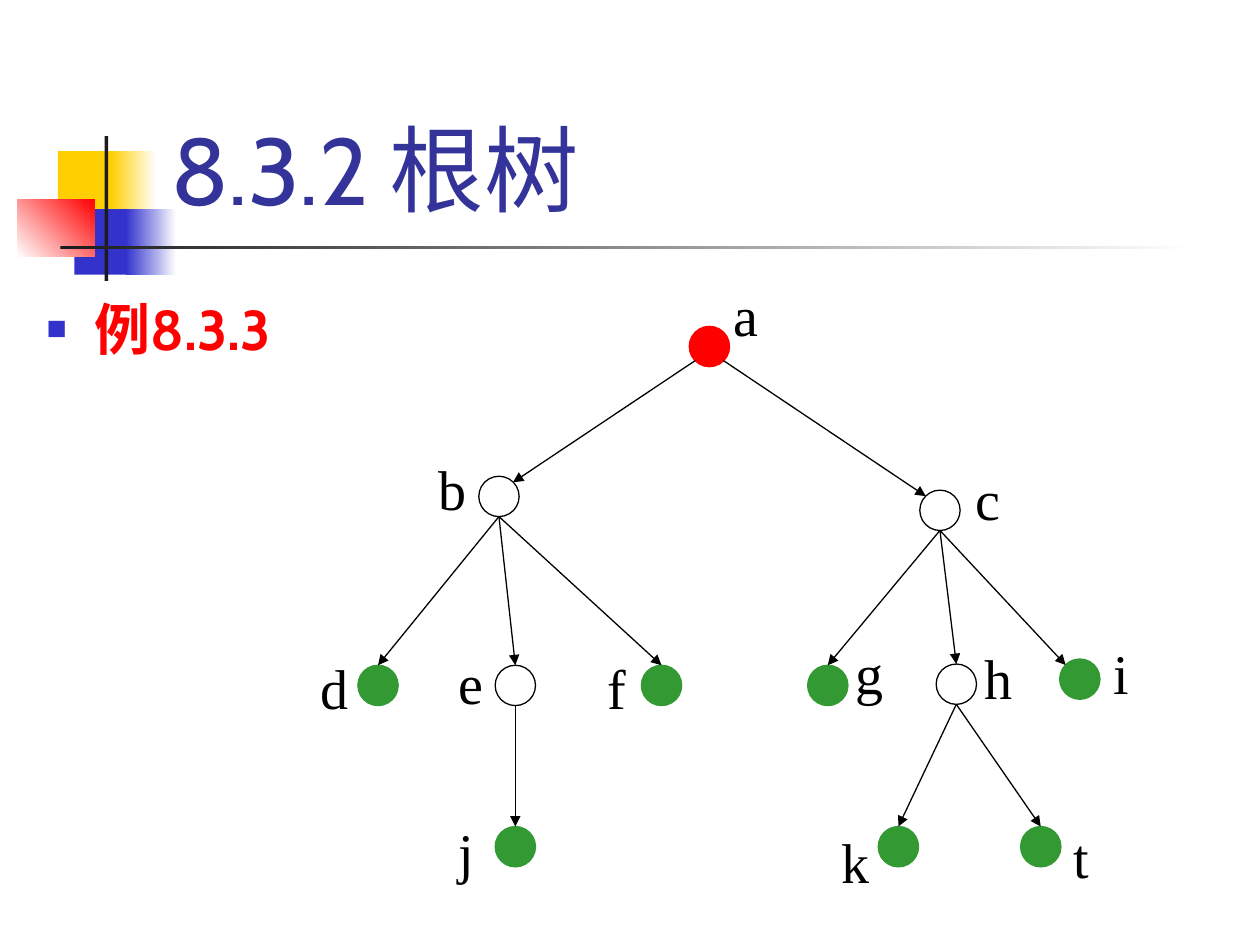
"""Build a slide showing a rooted tree with labelled vertices."""
from lxml import etree
from pptx import Presentation
from pptx import util as u
from pptx.dml.color import RGBColor
from pptx.enum import shapes, text
from pptx.oxml.ns import qn

WHITE = RGBColor(0xFF, 0xFF, 0xFF)
BLACK = RGBColor(0x00, 0x00, 0x00)
RED = RGBColor(0xFF, 0x00, 0x00)
GREEN = RGBColor(0x33, 0x99, 0x33)
YELLOW = RGBColor(0xFF, 0xCF, 0x01)
BLUE = RGBColor(0x33, 0x33, 0xCC)
NAVY = RGBColor(0x33, 0x33, 0x99)
CHARCOAL = RGBColor(0x1C, 0x1C, 0x1C)

TITLE = ("8.3.2 根树", (1.26, 0.23, 8.52, 1.6))
BODY = ("例8.3.3", (0.27, 2.02, 9.73, 5.48))
TITLE_FONT = {"name": "Cabin", "size": u.Pt(54), "bold": False}
BODY_FONT = {"name": "Cabin", "size": u.Pt(32), "bold": True}
LABEL_FONT = {"name": "Times New Roman", "size": u.Pt(32)}
BODY_SPACING = {"line_spacing": 1.5, "space_before": u.Pt(0)}
LABEL_FRAME = {
    "margin_left": u.Inches(0.11), "margin_right": u.Inches(0.11),
    "margin_top": u.Inches(0.06), "margin_bottom": u.Inches(0.06),
    "vertical_anchor": text.MSO_ANCHOR.TOP, "word_wrap": True,
}

ORNAMENTS = [
    ((0.46, 1.2, 0.48, 0.52), (YELLOW,), 0),
    ((0.88, 1.2, 0.36, 0.52), (YELLOW, WHITE), 0),
    ((0.59, 1.66, 0.46, 0.52), (BLUE,), 0),
    ((1.0, 1.66, 0.4, 0.52), (BLUE, WHITE), 0),
    ((0.14, 1.58, 0.61, 0.46), (WHITE, RED), 45),
    ((0.83, 1.08, 0.03, 1.15), (CHARCOAL,), 0),
    ((0.48, 1.95, 9, 0.03), (CHARCOAL, WHITE), 0),
]

DIAMETER = 0.32
LABEL_SIZE = (0.92, 0.9)
VERTICES = {
    "j": ((4.09, 6.72), (3.53, 6.43), GREEN),
    "k": ((7.13, 6.72), (6.57, 6.51), GREEN),
    "t": ((8.26, 6.72), (8.41, 6.47), GREEN),
    "d": ((3.0, 5.44), (2.43, 5.13), GREEN),
    "e": ((4.09, 5.44), (3.53, 5.09), WHITE),
    "f": ((5.25, 5.44), (4.71, 5.13), GREEN),
    "g": ((6.57, 5.44), (6.68, 5.01), GREEN),
    "h": ((7.59, 5.43), (7.7, 5.05), WHITE),
    "i": ((8.57, 5.39), (8.73, 5.01), GREEN),
    "b": ((3.96, 3.94), (3.37, 3.55), WHITE),
    "c": ((7.46, 4.05), (7.63, 3.63), WHITE),
    "a": ((5.63, 2.75), (5.71, 2.17), RED),
}

SITES = {
    "top": (0, -1), "bottom": (0, 1),
    "top left": (-0.7, -0.7), "top right": (0.7, -0.7),
    "bottom left": (-0.7, 0.7), "bottom right": (0.7, 0.7),
}
EDGES = [
    ("ab", "bottom left", "top right"),
    ("ac", "bottom right", "top left"),
    ("bd", "bottom", "top"),
    ("be", "bottom", "top"),
    ("bf", "bottom", "top"),
    ("cg", "bottom", "top"),
    ("ch", "bottom", "top"),
    ("ci", "bottom", "top left"),
    ("ej", "bottom", "top"),
    ("hk", "bottom", "top"),
    ("ht", "bottom", "top"),
]


def apply(target, values):
    for name, value in values.items():
        setattr(target, name, value)


def place(shape, area):
    names = ("left", "top", "width", "height")
    apply(shape, dict(zip(names, map(u.Inches, area))))


def write(shape, words, font, color, align=text.PP_ALIGN.LEFT):
    para = shape.text_frame.paragraphs[0]
    para.alignment = align
    span = para.add_run()
    span.text = words
    apply(span.font, font)
    span.font.color.rgb = color
    return para


def add_shape(page, kind, area, colors, outline=None, angle=0):
    shape = page.shapes.add_shape(kind, *map(u.Inches, area))
    shape.shadow.inherit = False
    if len(colors) == 1:
        shape.fill.solid()
        shape.fill.fore_color.rgb = colors[0]
    else:
        shape.fill.gradient()
        shape.fill.gradient_angle = angle
        for stop, color, position in zip(shape.fill.gradient_stops, colors, (0, 1)):
            stop.color.rgb = color
            stop.position = position
    if outline is None:
        shape.line.fill.background()
    else:
        shape.line.color.rgb = outline
        shape.line.width = u.Pt(0.75)
    return shape


def add_bullet(para):
    props = para._p.get_or_add_pPr()
    props.set("marL", str(u.Inches(0.38)))
    props.set("indent", str(u.Inches(-0.38)))
    color = etree.SubElement(props, qn("a:buClr"))
    etree.SubElement(color, qn("a:srgbClr"), val=str(BLUE))
    etree.SubElement(props, qn("a:buSzPct"), val="60000")
    etree.SubElement(props, qn("a:buChar"), char="■")


def site_point(vertex, site):
    center = VERTICES[vertex][0]
    return [u.Inches(c + s * DIAMETER / 2) for c, s in zip(center, SITES[site])]


def add_edge(page, nodes, pair, start, end):
    parent, child = pair
    edge = page.shapes.add_connector(
        shapes.MSO_CONNECTOR.STRAIGHT, *site_point(parent, start), *site_point(child, end))
    if end == "top":
        edge.end_connect(nodes[child], 0)
    edge.line.color.rgb = BLACK
    edge.line.width = u.Pt(0.75)
    etree.SubElement(edge.line._get_or_add_ln(), qn("a:tailEnd"), type="triangle")
    etree.SubElement(edge._element.spPr, qn("a:effectLst"))


def main():
    deck = Presentation()
    deck.slide_width, deck.slide_height = u.Inches(10), u.Inches(7.5)
    page = deck.slides.add_slide(deck.slide_layouts[1])
    rectangle, oval = shapes.MSO_SHAPE.RECTANGLE, shapes.MSO_SHAPE.OVAL

    for area, colors, angle in ORNAMENTS:
        add_shape(page, rectangle, area, colors, angle=angle)

    title, body = page.shapes.title, page.placeholders[1]
    place(title, TITLE[1])
    title.text_frame.vertical_anchor = text.MSO_ANCHOR.BOTTOM
    write(title, TITLE[0], TITLE_FONT, NAVY)
    place(body, BODY[1])
    para = write(body, BODY[0], BODY_FONT, RED)
    add_bullet(para)
    apply(para, BODY_SPACING)

    for name, (_, corner, _) in VERTICES.items():
        box = add_shape(page, rectangle, corner + LABEL_SIZE, (WHITE,), WHITE)
        apply(box.text_frame, LABEL_FRAME)
        write(box, name, LABEL_FONT, BLACK)

    nodes = {}
    for name, ((x, y), _, color) in VERTICES.items():
        area = (x - DIAMETER / 2, y - DIAMETER / 2, DIAMETER, DIAMETER)
        outline = BLACK if color == WHITE else color
        nodes[name] = add_shape(page, oval, area, (color,), outline)

    for pair, start, end in EDGES:
        add_edge(page, nodes, pair, start, end)

    deck.save("out.pptx")


if __name__ == "__main__":
    main()
